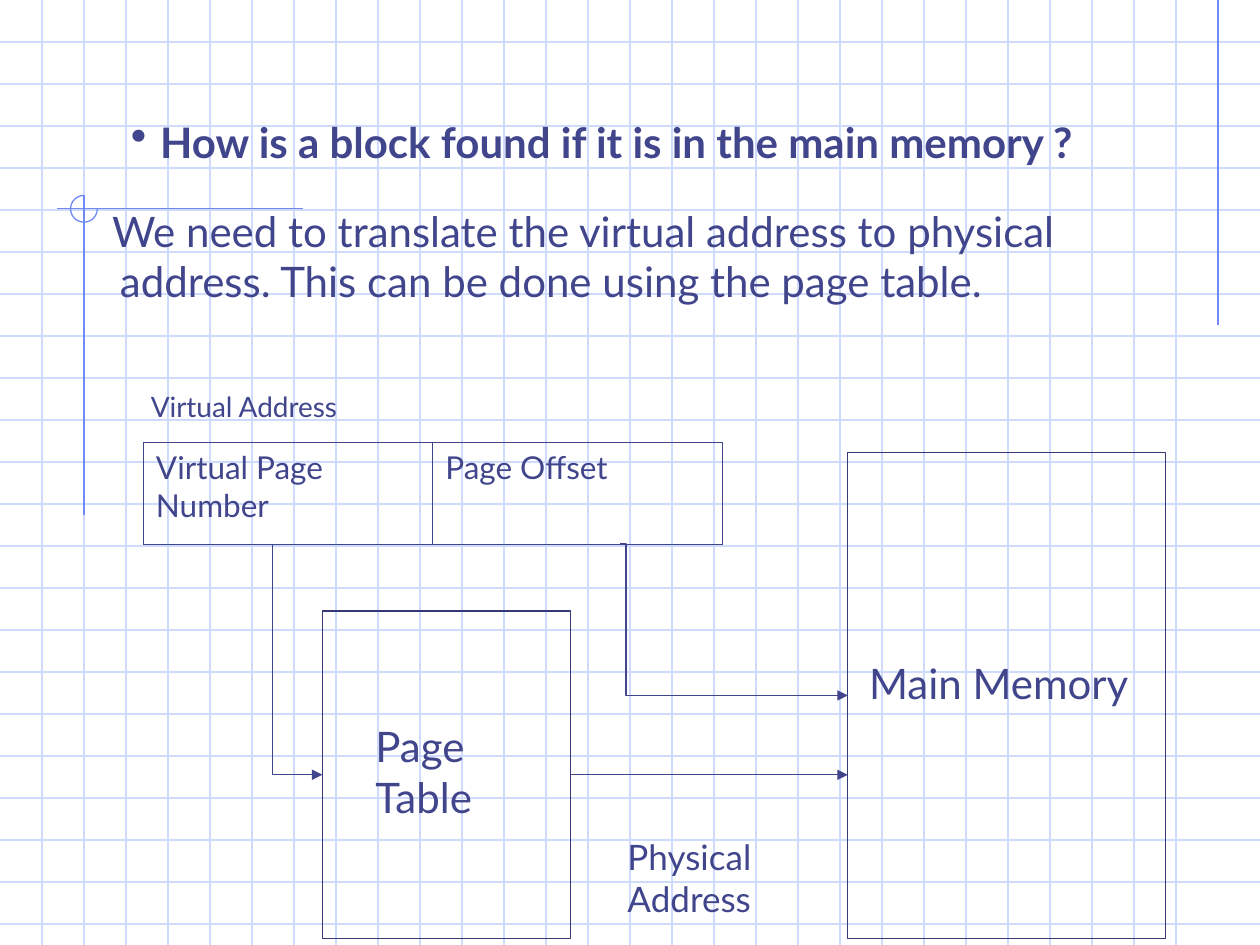
import lxml.etree
import pptx
import pptx.dml.color
import pptx.enum.shapes
import pptx.enum.text
import pptx.oxml.ns
import pptx.util

Cm = pptx.util.Cm
Pt = pptx.util.Pt
qn = pptx.oxml.ns.qn
KIND = pptx.enum.shapes.MSO_CONNECTOR
SHAPE = pptx.enum.shapes.MSO_SHAPE

INK = pptx.dml.color.RGBColor(0x40, 0x45, 0x8C)
EDGE = pptx.dml.color.RGBColor(0x35, 0x3A, 0x77)
GRID = pptx.dml.color.RGBColor(0xCF, 0xDB, 0xFD)
TRIM = pptx.dml.color.RGBColor(0x6F, 0x89, 0xF7)

WIDE, HIGH = 25.4, 19.05
STEP = 2.54 / 3
FRAME = {
    "word_wrap": True,
    "auto_size": pptx.enum.text.MSO_AUTO_SIZE.NONE,
    "vertical_anchor": pptx.enum.text.MSO_ANCHOR.TOP,
    "margin_left": Cm(0.25),
    "margin_right": Cm(0.25),
    "margin_top": Cm(0.13),
    "margin_bottom": Cm(0.13),
}


def assign(item, values):
    for name, value in values.items():
        setattr(item, name, value)


def write(frame, lines, size, bold=False):
    frame.text = "\n".join(lines)
    for para in frame.paragraphs:
        para.alignment = pptx.enum.text.PP_ALIGN.LEFT
        for run in para.runs:
            assign(run.font, {"name": "Lato", "size": Pt(size), "bold": bold})
            run.font.color.rgb = INK


def label(slide, box, lines, size):
    frame = slide.shapes.add_textbox(*map(Cm, box)).text_frame
    assign(frame, FRAME)
    write(frame, lines, size)
    return frame


def link(slide, ends, color, kind=KIND.STRAIGHT, arrow=False):
    line = slide.shapes.add_connector(kind, *map(Cm, ends))
    line.line.color.rgb = color
    line.line.width = Pt(0.75)
    props = line.element.spPr
    lxml.etree.SubElement(props, qn("a:effectLst"))
    if arrow:
        lxml.etree.SubElement(props.find(qn("a:ln")), qn("a:tailEnd"), type="triangle")
    return line


def outline(slide, box, color, kind=SHAPE.RECTANGLE):
    shape = slide.shapes.add_shape(kind, *map(Cm, box))
    shape.shadow.inherit = False
    shape.fill.background()
    shape.line.color.rgb = color
    shape.line.width = Pt(0.75)
    return shape


def backdrop(slide, box):
    left, top, width, height = box
    for row in range(1, int(height / STEP) + 1):
        y = top + row * STEP
        link(slide, (left, y, left + width, y), GRID)
    for col in range(1, int(width / STEP)):
        x = left + col * STEP
        link(slide, (x, top, x, top + height), GRID)
    mark, side = left + 2 * STEP, left + 29 * STEP
    link(slide, (side, top, side, top + 6.55), TRIM)
    link(slide, (left + 6.1, top + 4.2, left + 1.14, top + 4.2), TRIM)
    link(slide, (mark, top + 3.94, mark, top + 10.39), TRIM)
    arc = outline(slide, (mark - 0.27, top + 3.94, 0.54, 0.54), TRIM, SHAPE.ARC)
    arc.adjustments[0] = 0
    arc.adjustments[1] = 162


def heading(slide, box):
    title = slide.shapes.title
    title.element.getparent().append(title.element)
    assign(title, dict(zip(("left", "top", "width", "height"), map(Cm, box))))
    assign(title.text_frame, FRAME)
    write(title.text_frame, ["How is a block found if it is in the main memory ?"], 24, True)
    props = title.text_frame.paragraphs[0]._p.get_or_add_pPr()
    props.set("marL", str(Cm(0.59)))
    props.set("indent", str(Cm(-0.59)))
    lxml.etree.SubElement(props, qn("a:buSzPct"), val="110000")
    lxml.etree.SubElement(props, qn("a:buChar"), char="•")


def answer(slide, box):
    frame = label(slide, box, [
        "We need to translate the virtual address to physical",
        "address. This can be done using the page table.",
    ], 24)
    frame.paragraphs[1]._p.get_or_add_pPr().set("marL", str(Cm(0.16)))


def address(slide, box):
    table = slide.shapes.add_table(1, 2, *map(Cm, box)).table
    assign(table, {"first_row": False, "horz_banding": False})
    for cell, text in zip(table.iter_cells(), ("Virtual Page Number", "Page Offset")):
        write(cell.text_frame, [text], 18)
        props = cell._tc.get_or_add_tcPr()
        for side in ("lnL", "lnR", "lnT", "lnB"):
            edge = lxml.etree.SubElement(props, qn("a:" + side), w=str(Pt(0.45)))
            fill = lxml.etree.SubElement(edge, qn("a:solidFill"))
            lxml.etree.SubElement(fill, qn("a:srgbClr"), val=str(INK))
        cell.fill.background()


def diagram(slide, box):
    left, top = box[:2]

    def place(x, y, *size):
        return (left + x, top + y, *size)

    address(slide, place(0.1, 1.2, 11.67, 2.05))
    label(slide, place(0, 0, 4.52, 0.94), ["Virtual Address"], 16)
    store = outline(slide, place(14.3, 1.4, 6.4, 9.8), EDGE)
    label(slide, place(14.48, 5.41, 6.05, 1.27), ["Main Memory"], 24)
    page = outline(slide, place(3.71, 4.6, 5, 6.6), EDGE)
    label(slide, place(4.53, 6.68, 2.67, 2.29), ["Page", "Table"], 24)

    x, y, across, down = 2.7, 3.25, 1.01, 4.65
    mid, half = x + across / 2, y + down / 2
    ends = place(mid + down / 2, half - across / 2) + place(mid - down / 2, half + across / 2)
    turn = link(slide, ends, INK, KIND.ELBOW, True)
    turn.element.spPr.find(qn("a:prstGeom")).set("prst", "bentConnector2")
    turn.element.spPr.find(qn("a:xfrm")).set("rot", "16200000")

    bend = link(slide, place(9.71, 3.25) + place(14.3, 6.3), INK, KIND.ELBOW, True)
    shape = bend.element.spPr.find(qn("a:prstGeom"))
    guides = shape.find(qn("a:avLst"))
    if guides is None:
        guides = lxml.etree.SubElement(shape, qn("a:avLst"))
    lxml.etree.SubElement(guides, qn("a:gd"), name="adj1", fmla="val 2700")
    bend.end_connect(store, 1)

    route = link(slide, place(8.71, 7.9) + place(14.3, 7.9), INK, arrow=True)
    route.begin_connect(page, 3)
    label(slide, place(9.61, 8.99, 3.2, 1.96), ["Physical", "Address"], 20)


def main():
    deck = pptx.Presentation()
    assign(deck, {"slide_width": Cm(WIDE), "slide_height": Cm(HIGH)})
    slide = deck.slides.add_slide(deck.slide_layouts[5])
    backdrop(slide, (0, 0, WIDE, HIGH))
    heading(slide, (2.39, 2.21, 21.59, 1.27))
    answer(slide, (2.01, 4.01, 20.88, 2.29))
    diagram(slide, (2.79, 7.72, 20.7, 11.2))
    deck.save("out.pptx")


if __name__ == "__main__":
    main()
